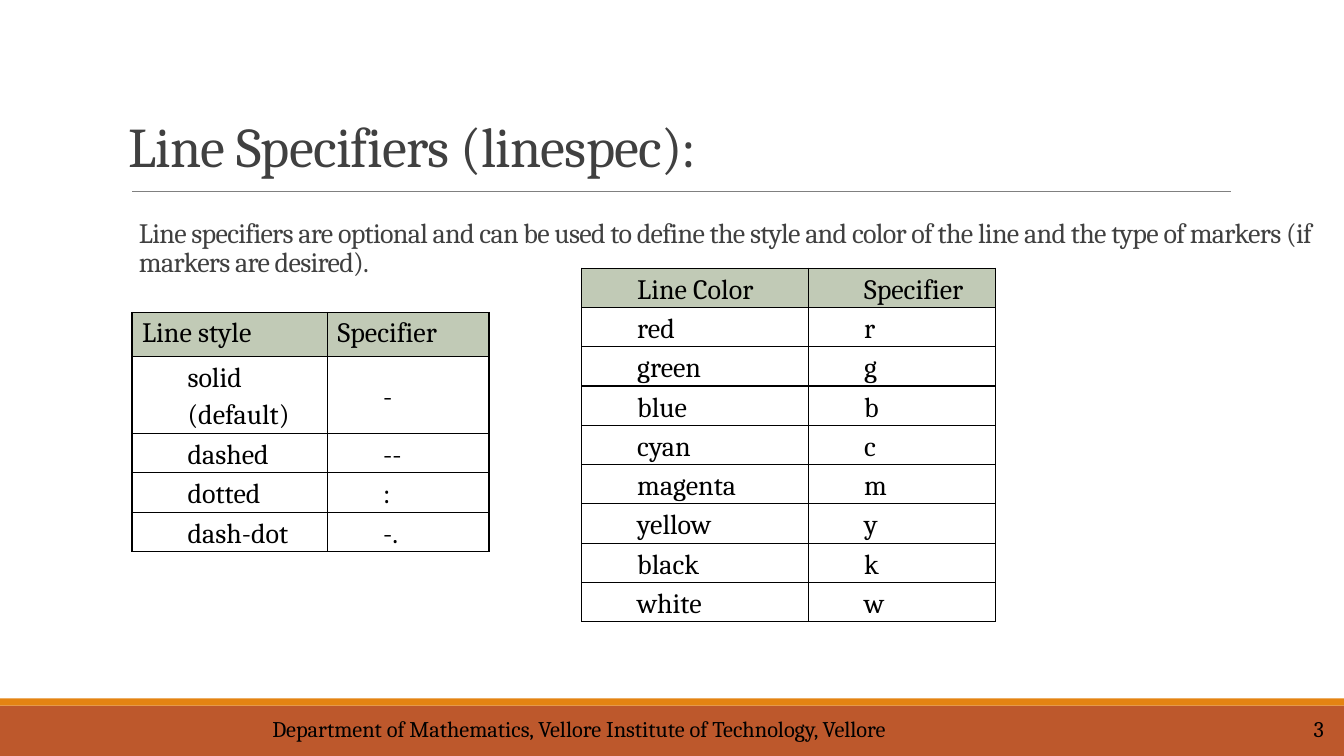
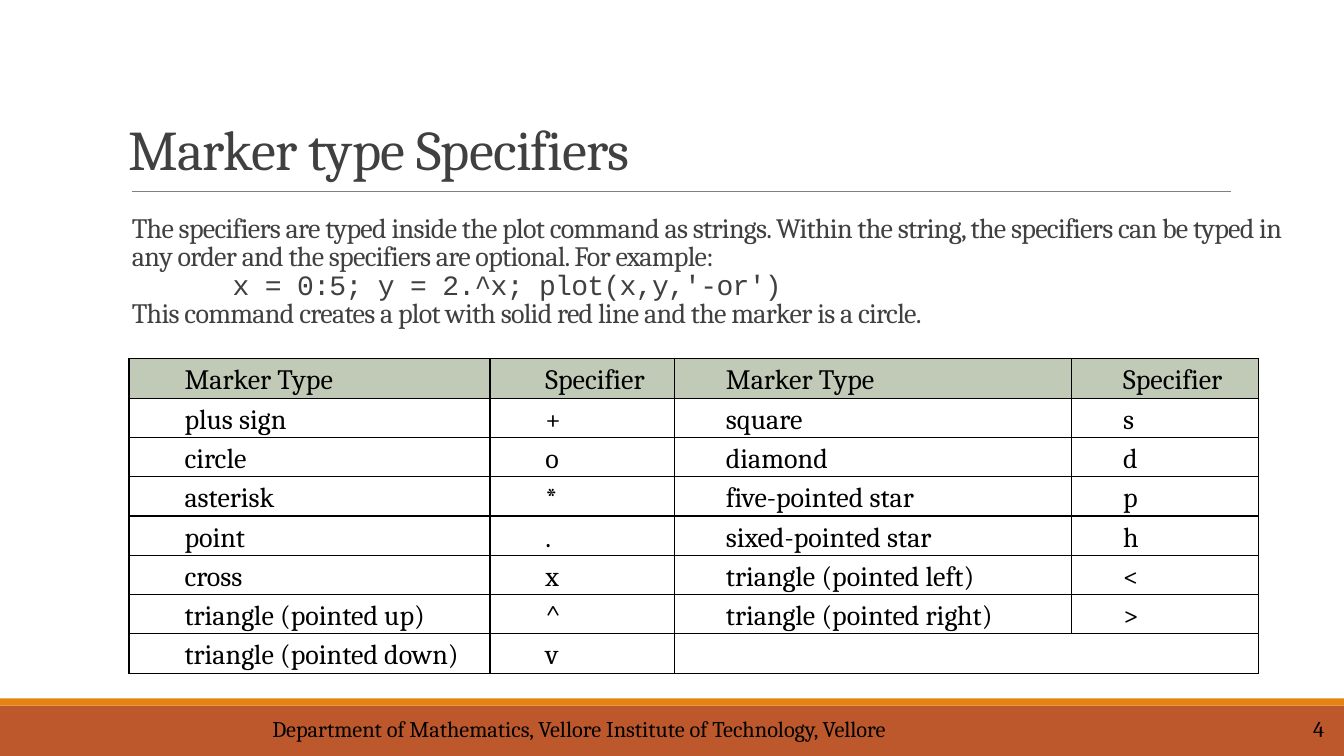
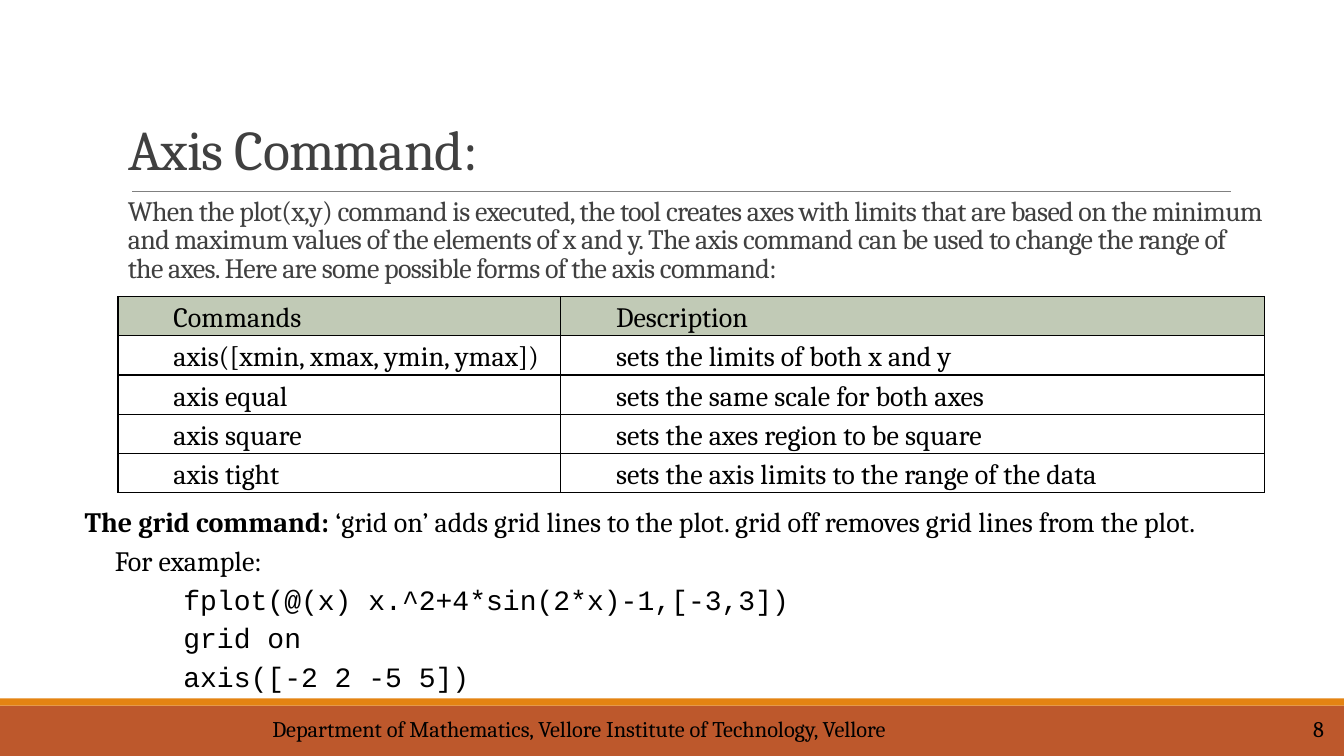
from lxml.etree import SubElement
from pptx import Presentation
from pptx.dml.color import RGBColor
from pptx.enum.shapes import MSO_CONNECTOR, MSO_SHAPE
from pptx.enum.text import MSO_ANCHOR, MSO_AUTO_SIZE, PP_ALIGN
from pptx.oxml.ns import qn
from pptx.util import Inches, Pt

SERIF = "Cambria"
MONO = "Courier New"
BLACK = "000000"
GRAY = "404040"
RULE = "808080"
RUST = "BD582C"
ORANGE = "E48312"
SAGE = "C1CAB6"
PAGE_WIDTH = 13.33
ROW_HEIGHT = 0.39
WIDE_INSETS = (0.05, 0.08)
THIN_INSETS = (0.01, 0.01)
FOOTER = "Department of Mathematics, Vellore Institute of Technology, Vellore"


def color(value):
    return RGBColor.from_string(value)


def inches(box):
    return [Inches(length) for length in box]


def add_span(para, text, size=20, font=SERIF, ink=BLACK, bold=False, tight=False):
    span = para.add_run()
    span.text = text
    span.font.size = Pt(size)
    span.font.name = font
    span.font.bold = bold
    span.font.color.rgb = color(ink)
    if tight:
        span.font._element.set("spc", "-50")


def format_para(para, indent=0, spacing=1.0, align=PP_ALIGN.LEFT):
    para.alignment = align
    para.line_spacing = spacing
    para.space_before = Pt(0)
    if indent:
        para._p.get_or_add_pPr().set("marL", str(Inches(indent)))


def add_text_box(page, box, anchor):
    frame = page.shapes.add_textbox(*inches(box)).text_frame
    frame.word_wrap = True
    frame.vertical_anchor = anchor
    return frame


def next_para(frame, index):
    return frame.add_paragraph() if index else frame.paragraphs[0]


def add_bar(page, box, fill):
    bar = page.shapes.add_shape(MSO_SHAPE.RECTANGLE, *inches(box))
    bar.shadow.inherit = False
    bar.fill.solid()
    bar.fill.fore_color.rgb = color(fill)
    bar.line.fill.background()


def add_rule(page, left, right, top):
    rule = page.shapes.add_connector(MSO_CONNECTOR.STRAIGHT, *inches((left, top, right, top)))
    rule.line.color.rgb = color(RULE)
    rule.line.width = Pt(0.5)
    SubElement(rule._element.spPr, qn("a:effectLst"))


def add_footer(page, number):
    add_bar(page, (0, 7, PAGE_WIDTH, 0.5), RUST)
    add_bar(page, (0, 6.93, PAGE_WIDTH, 0.07), ORANGE)
    for left, width, text, align in (
        (2, 7.49, FOOTER, PP_ALIGN.CENTER),
        (11.65, 1.58, number, PP_ALIGN.RIGHT),
    ):
        para = add_text_box(page, (left, 7.03, width, 0.4), MSO_ANCHOR.MIDDLE).paragraphs[0]
        format_para(para, align=align)
        add_span(para, text, size=16)


def add_page(deck, title, number, title_top=1.1):
    page = deck.slides.add_slide(deck.slide_layouts[5])
    holder = page.shapes.title
    holder.left, holder.top, holder.width, holder.height = inches((1.17, title_top, 8.46, 0.76))
    frame = holder.text_frame
    frame.word_wrap = True
    frame.auto_size = MSO_AUTO_SIZE.NONE
    frame.vertical_anchor = MSO_ANCHOR.BOTTOM
    format_para(frame.paragraphs[0], spacing=0.85)
    add_span(frame.paragraphs[0], title, size=40, ink=GRAY, tight=True)
    add_rule(page, 1.31, 12.21, 1.9)
    add_footer(page, number)
    return page


def add_intro(page, box, lines):
    frame = add_text_box(page, box, MSO_ANCHOR.BOTTOM)
    for index, (text, font, indent) in enumerate(lines):
        para = next_para(frame, index)
        format_para(para, indent=indent, spacing=0.85)
        add_span(para, text, font=font, ink=GRAY, tight=True)


def add_borders(cell):
    properties = cell._tc.get_or_add_tcPr()
    for side in ("a:lnL", "a:lnR", "a:lnT", "a:lnB"):
        line = SubElement(properties, qn(side), w=str(Pt(1)))
        fill = SubElement(line, qn("a:solidFill"))
        SubElement(fill, qn("a:srgbClr"), val=BLACK)


def fill_cell(cell, text, is_header, insets, plain):
    add_borders(cell)
    if is_header:
        cell.fill.solid()
        cell.fill.fore_color.rgb = color(SAGE)
    else:
        cell.fill.background()
    para = cell.text_frame.paragraphs[0]
    if plain:
        format_para(para)
    else:
        cell.vertical_anchor = MSO_ANCHOR.MIDDLE
        cell.margin_left, cell.margin_right = inches(insets)
        cell.margin_top = cell.margin_bottom = Inches(0)
        format_para(para, indent=0.5, spacing=1.15, align=PP_ALIGN.JUSTIFY)
    if text:
        add_span(para, text)


def add_grid(page, left, top, widths, rows, heights=None, insets=None, plain_header=False):
    heights = heights or [ROW_HEIGHT] * len(rows)
    insets = insets or [WIDE_INSETS] * len(widths)
    box = (left, top, sum(widths), sum(heights))
    table = page.shapes.add_table(len(rows), len(widths), *inches(box)).table
    table.first_row = False
    table.horz_banding = False
    for column, width in zip(table.columns, widths):
        column.width = Inches(width)
    for row_index, (row, height) in enumerate(zip(rows, heights)):
        table.rows[row_index].height = Inches(height)
        is_header = row_index == 0
        for column_index, text in enumerate(row):
            fill_cell(table.cell(row_index, column_index), text, is_header,
                      insets[column_index], is_header and plain_header)
    return table


def add_grid_command(page, box):
    frame = add_text_box(page, box, MSO_ANCHOR.TOP)
    lead = frame.paragraphs[0]
    format_para(lead, indent=0.19, spacing=1.15, align=PP_ALIGN.JUSTIFY)
    add_span(lead, "The grid command: ", bold=True)
    add_span(lead, "‘grid on’ adds grid lines to the plot. grid off removes grid lines from the plot.")
    for text, font, indent in (
        ("For example:", SERIF, 0.49),
        ("fplot(@(x) x.^2+4*sin(2*x)-1,[-3,3])", MONO, 1.17),
        ("grid on", MONO, 1.17),
        ("axis([-2 2 -5 5])", MONO, 1.17),
    ):
        para = frame.add_paragraph()
        format_para(para, indent=indent, spacing=1.15)
        add_span(para, text, font=font)


def build_line_page(deck):
    page = add_page(deck, "Line Specifiers (linespec):", "3", title_top=1.07)
    add_intro(page, (1.28, 1.74, 11.96, 1.07), [
        ("Line specifiers are optional and can be used to define the style and color of the line "
         "and the type of markers (if markers are desired).", SERIF, 0),
    ])
    styles = [
        ("Line style", "Specifier"),
        ("solid (default)", "-"),
        ("dashed", "--"),
        ("dotted", ":"),
        ("dash-dot", "-."),
    ]
    add_grid(page, 1.31, 3.1, [1.94, 1.6], styles,
             heights=[0.42, 0.75] + [ROW_HEIGHT] * 3, plain_header=True)
    colors = [
        ("Line Color", "Specifier"),
        ("red", "r"),
        ("green", "g"),
        ("blue", "b"),
        ("cyan", "c"),
        ("magenta", "m"),
        ("yellow", "y"),
        ("black", "k"),
        ("white", "w"),
    ]
    add_grid(page, 5.77, 2.66, [2.25, 1.85], colors)


def build_marker_page(deck):
    page = add_page(deck, "Marker type Specifiers", "4")
    add_intro(page, (1.21, 1.98, 11.96, 1.34), [
        ("The specifiers are typed inside the plot command as strings. Within the string, the "
         "specifiers can be typed in any order and the specifiers are optional. For example:",
         SERIF, 0),
        ("x = 0:5; y = 2.^x; plot(x,y,'-or')", MONO, 1),
        ("This command creates a plot with solid red line and the marker is a circle.", SERIF, 0),
    ])
    markers = [
        ("Marker Type", "Specifier", "Marker Type", "Specifier"),
        ("plus sign", "+", "square", "s"),
        ("circle", "o", "diamond", "d"),
        ("asterisk", "*", "five-pointed star", "p"),
        ("point", ".", "sixed-pointed star", "h"),
        ("cross", "x", "triangle (pointed left)", "<"),
        ("triangle (pointed up)", "^", "triangle (pointed right)", ">"),
        ("triangle (pointed down)", "v", "", ""),
    ]
    table = add_grid(page, 1.28, 3.56, [3.58, 1.83, 3.94, 1.85], markers,
                     insets=[WIDE_INSETS] * 2 + [THIN_INSETS] * 2)
    table.cell(7, 2).merge(table.cell(7, 3))


def build_axis_page(deck):
    page = add_page(deck, "Axis Command:", "8")
    add_intro(page, (1.17, 1.81, 11.47, 1.06), [
        ("When the plot(x,y) command is executed, the tool creates axes with limits that are based "
         "on the minimum and maximum values of the elements of x and y. The axis command can be "
         "used to change the range of the axes. Here are some possible forms of the axis command:",
         SERIF, 0),
    ])
    commands = [
        ("Commands", "Description"),
        ("axis([xmin, xmax, ymin, ymax])", "sets the limits of both x and y"),
        ("axis equal", "sets the same scale for both axes"),
        ("axis square", "sets the axes region to be square"),
        ("axis tight", "sets the axis limits to the range of the data"),
    ]
    add_grid(page, 1.17, 2.94, [4.39, 6.98], commands)
    add_grid_command(page, (0.55, 4.91, 12.09, 2.04))


def main():
    deck = Presentation()
    deck.slide_width = Inches(PAGE_WIDTH)
    deck.slide_height = Inches(7.5)
    build_line_page(deck)
    build_marker_page(deck)
    build_axis_page(deck)
    deck.save("out.pptx")


if __name__ == "__main__":
    main()
